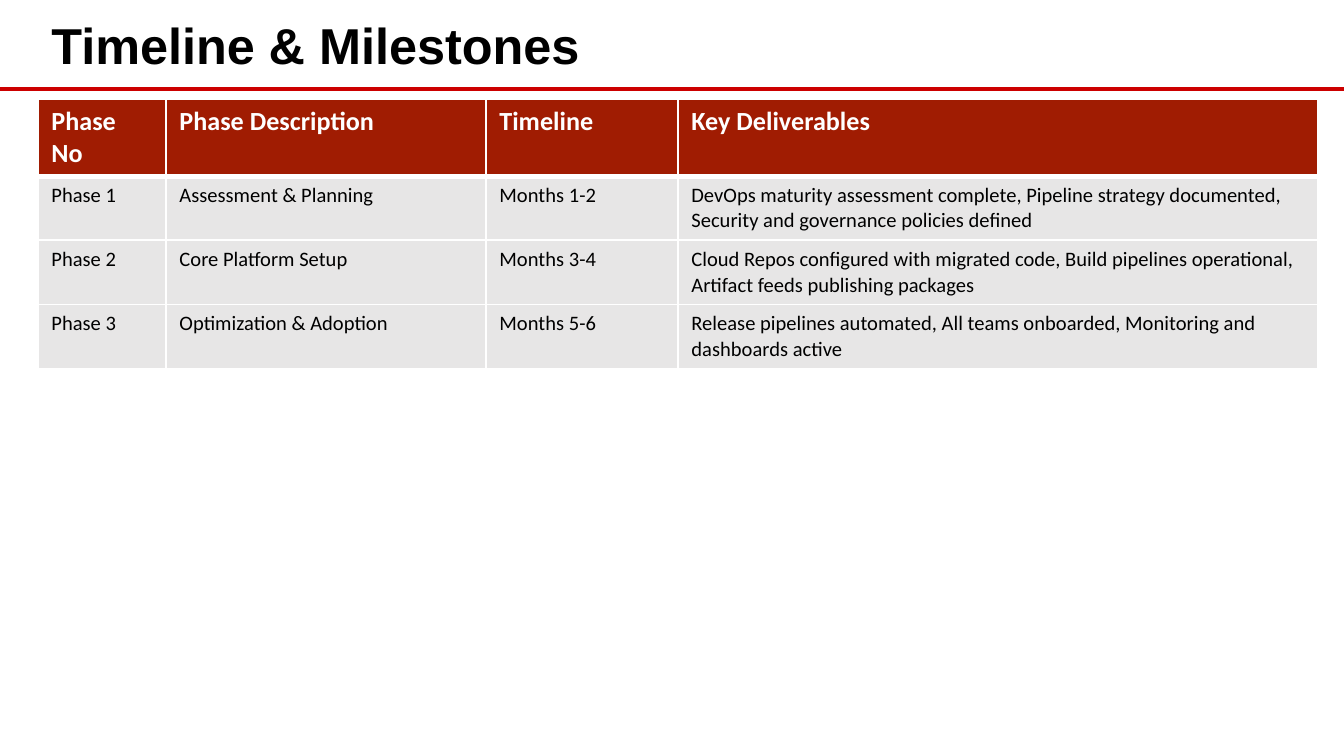
from lxml.etree import SubElement
from pptx import Presentation
from pptx.dml.color import RGBColor
from pptx.enum.shapes import MSO_CONNECTOR as Connector
from pptx.enum.text import MSO_ANCHOR as Anchor, PP_ALIGN as Align
from pptx.oxml.ns import qn
from pptx.util import Emu, Pt

SCALE = 914400 / 134.4
COLORS = {
    "rule": "CC0000",
    "header": "A01C02",
    "body": "E7E6E6",
    "white": "FFFFFF",
    "black": "000000",
}
FORMATS = {
    "title": {"name": "Arial", "size": Pt(27), "bold": True, "color": "black"},
    "header": {"name": "Calibri", "size": Pt(14), "bold": True, "color": "white"},
    "body": {"name": "Calibri", "size": Pt(11), "bold": False, "color": "black"},
}
MILESTONES = [
    ("Phase No", "Phase Description", "Timeline", "Key Deliverables"),
    ("Phase 1", "Assessment & Planning", "Months 1-2",
     "DevOps maturity assessment complete, Pipeline strategy documented, "
     "Security and governance policies defined"),
    ("Phase 2", "Core Platform Setup", "Months 3-4",
     "Cloud Repos configured with migrated code, Build pipelines operational, "
     "Artifact feeds publishing packages"),
    ("Phase 3", "Optimization & Adoption", "Months 5-6",
     "Release pipelines automated, All teams onboarded, Monitoring and "
     "dashboards active"),
]


def px(length):
    return Emu(round(length * SCALE))


def rgb(name):
    return RGBColor.from_string(COLORS[name])


class SlideBuilder:
    """Draws styled elements on the current slide."""

    def __init__(self, slide):
        self.slide = slide

    def add_text(self, frame, text, style):
        para = frame.paragraphs[0]
        para.alignment = Align.LEFT
        span = para.add_run()
        span.text = text
        for key, value in FORMATS[style].items():
            if key == "color":
                span.font.color.rgb = rgb(value)
            else:
                setattr(span.font, key, value)

    def title(self, text, left, top, width, height):
        box = self.slide.shapes.title
        place = {"left": left, "top": top, "width": width, "height": height}
        for key, value in place.items():
            setattr(box, key, px(value))
        box.text_frame.vertical_anchor = Anchor.MIDDLE
        self.add_text(box.text_frame, text, "title")

    def rule(self, top, width):
        line = self.slide.shapes.add_connector(
            Connector.STRAIGHT, px(0), px(top), px(width), px(top))
        line.line.color.rgb = rgb("rule")
        line.line.width = Pt(2.25)
        SubElement(line._element.spPr, qn("a:effectLst"))

    def borders(self, cell, widths):
        properties = cell._tc.get_or_add_tcPr()
        for side, width in widths.items():
            edge = SubElement(properties, qn(f"a:ln{side}"), w=str(Pt(width)))
            fill = SubElement(edge, qn("a:solidFill"))
            SubElement(fill, qn("a:srgbClr"), val=COLORS["white"])

    def table(self, rows, left, top, widths, row_height):
        grid = self.slide.shapes.add_table(
            len(rows), len(widths), px(left), px(top),
            px(sum(widths)), px(row_height * len(rows))).table
        for column, width in zip(grid.columns, widths):
            column.width = px(width)
        for r, row in enumerate(rows):
            style = "body" if r else "header"
            for c, text in enumerate(row):
                cell = grid.cell(r, c)
                self.borders(cell, {"L": 1, "R": 1, "T": 3 if r == 1 else 1,
                                    "B": 1 if r else 3})
                cell.fill.solid()
                cell.fill.fore_color.rgb = rgb(style)
                self.add_text(cell.text_frame, text, style)


def main():
    deck = Presentation()
    deck.slide_width, deck.slide_height = px(1344), px(756)
    page = SlideBuilder(deck.slides.add_slide(deck.slide_layouts[5]))
    page.rule(89, 1344)
    page.title("Timeline & Milestones", 38, 5, 1280, 78)
    page.table(MILESTONES, 38, 99, (128, 320, 192, 640), 55)
    deck.save("out.pptx")


if __name__ == "__main__":
    main()
